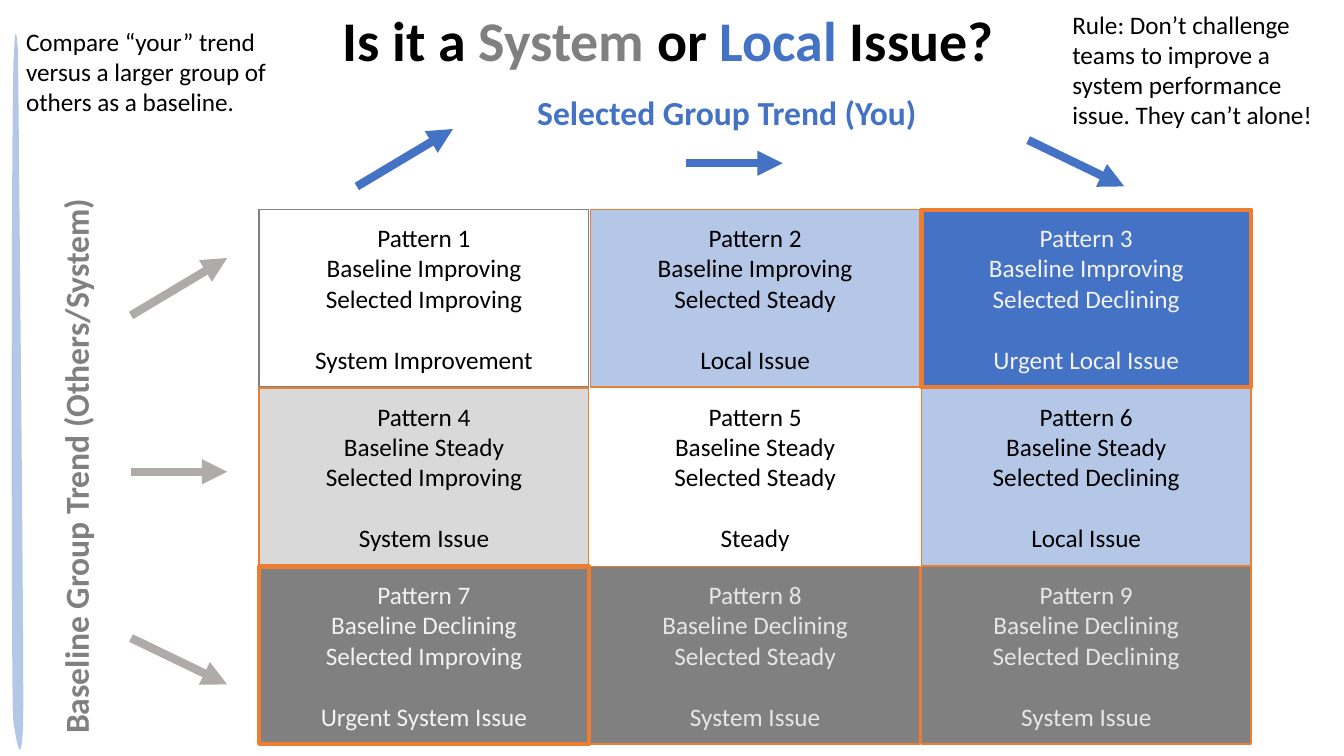
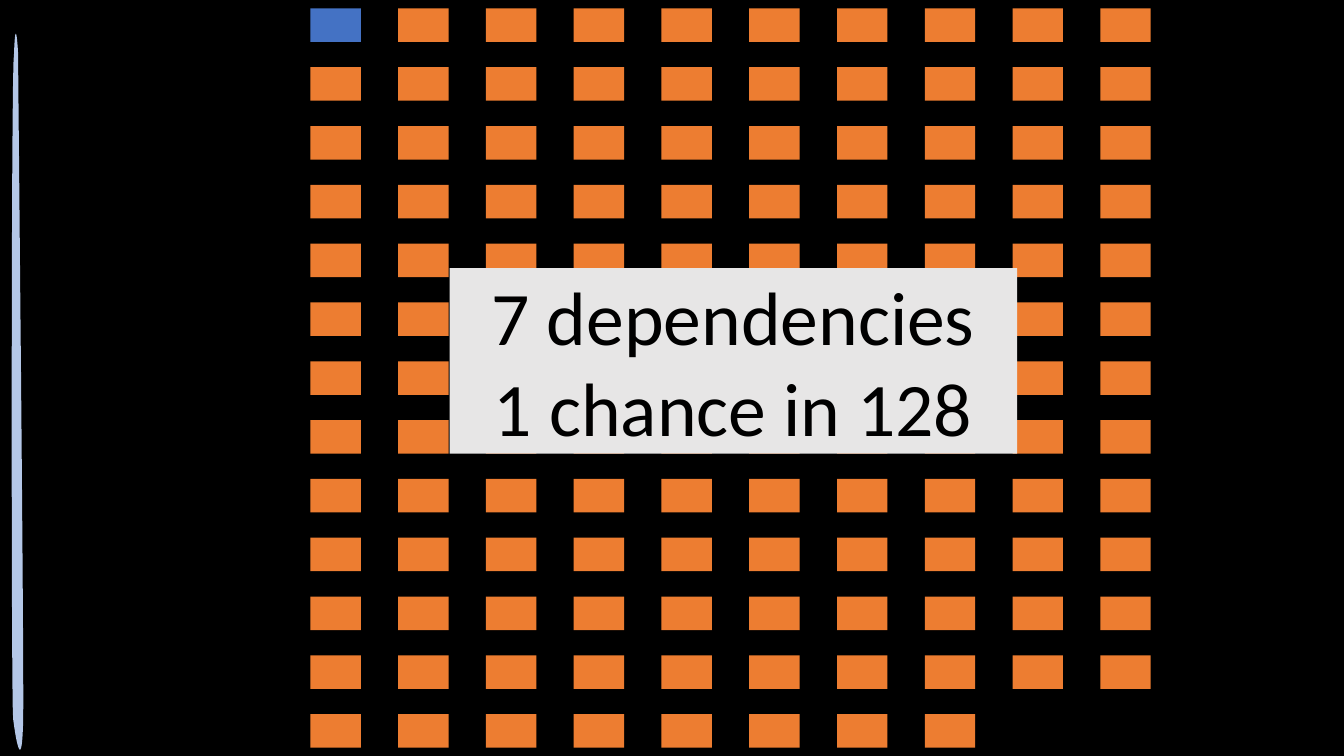
from lxml import etree
from pptx import Presentation
from pptx.dml.color import RGBColor
from pptx.enum.shapes import MSO_CONNECTOR, MSO_SHAPE
from pptx.enum.text import MSO_ANCHOR, MSO_AUTO_SIZE, PP_ALIGN
from pptx.oxml.ns import qn
from pptx.util import Inches, Pt

RECT = MSO_SHAPE.RECTANGLE
LINE = MSO_CONNECTOR.STRAIGHT
LEFT, MID = PP_ALIGN.LEFT, PP_ALIGN.CENTER
TOP, CENTRE = MSO_ANCHOR.TOP, MSO_ANCHOR.MIDDLE
FIXED = MSO_AUTO_SIZE.NONE

BLACK = RGBColor(0x00, 0x00, 0x00)
GREY = RGBColor(0x80, 0x80, 0x80)
STONE = RGBColor(0xAF, 0xAB, 0xAB)
SILVER = RGBColor(0xD9, 0xD9, 0xD9)
MIST = RGBColor(0xE7, 0xE6, 0xE6)
PALE = RGBColor(0xF2, 0xF2, 0xF2)
WHITE = RGBColor(0xFF, 0xFF, 0xFF)
BLUE = RGBColor(0x44, 0x72, 0xC4)
SKY = RGBColor(0xB4, 0xC7, 0xE7)
ORANGE = RGBColor(0xED, 0x7D, 0x31)
FONT = "Calibri"

deck = Presentation()
deck.slide_width, deck.slide_height = Inches(13.33), Inches(7.5)

# Every slide is a grid of 100 columns by 100 rows
COL, ROW = deck.slide_width / 100, deck.slide_height / 100


def grid(*spots):
    """Turn alternating columns and rows into lengths."""
    return [int(spot * (ROW if i % 2 else COL)) for i, spot in enumerate(spots)]


def write(shape, text, size, ink, bold=False, align=LEFT, anchor=TOP):
    frame = shape.text_frame
    frame.text = text
    frame.word_wrap = True
    frame.vertical_anchor = anchor
    for para in frame.paragraphs:
        para.alignment = align
        for run in para.runs:
            run.font.name, run.font.size = FONT, Pt(size)
            run.font.bold = bold
            run.font.color.rgb = ink


trend = deck.slides.add_slide(deck.slide_layouts[5])
odds = deck.slides.add_slide(deck.slide_layouts[6])

# Shared blade at the left edge, kept on the master
start = (1.05, 7.07)
curves = [
    ((0.83, 7.07), (0.83, 91.87), (0.98, 95.07)),
    ((1.2, 98.13), (1.65, 102.53), (1.73, 95.07)),
    ((1.8, 87.6), (1.35, 9.6), (1.35, 7.07)),
    ((1.28, 4.67), (1.13, 2.67), start),
]
STEPS = 16
points, last = [], start
for one, two, end in curves:
    for step in range(1, STEPS + 1):
        t = step / STEPS
        u = 1 - t
        points.append(grid(*(
            u**3 * a + 3 * u * u * t * b + 3 * u * t * t * c + t**3 * d
            for a, b, c, d in zip(last, one, two, end))))
    last = end
pen = trend.shapes.build_freeform(*grid(*start))
pen.add_line_segments(points, close=True)
blade = pen.convert_to_shape()
blade.shadow.inherit = False
blade.fill.solid()
blade.fill.fore_color.rgb = SKY
blade.line.fill.background()
blade.element.nvSpPr.cNvPr.set("id", "99")
deck.slide_master.shapes.element.append(blade.element)

# Slide 1: title with coloured words
title = trend.shapes.title
title.left, title.top, title.width, title.height = grid(24.75, 0, 50.48, 10.27)
write(title, "", 40, BLACK)
title.text_frame.word_wrap = False
title.text_frame.auto_size = FIXED
para = title.text_frame.paragraphs[0]
for word, ink in [("Is it a ", BLACK), ("System", GREY), (" or ", BLACK),
                  ("Local", BLUE), (" Issue?", BLACK)]:
    run = para.add_run()
    run.text = word
    run.font.name, run.font.size, run.font.bold = FONT, Pt(40), True
    run.font.color.rgb = ink

# Pattern matrix: row, column, verdict, fill, edge, edge width, ink
states = ["Improving", "Steady", "Declining"]
cells = [
    (1, 1, "Steady", WHITE, None, 0, BLACK),
    (0, 0, "System Improvement", None, GREY, 1, BLACK),
    (0, 2, "Urgent Local Issue", BLUE, ORANGE, 3, PALE),
    (0, 1, "Local Issue", SKY, ORANGE, 1, BLACK),
    (1, 0, "System Issue", SILVER, ORANGE, 1, BLACK),
    (1, 2, "Local Issue", SKY, ORANGE, 1, BLACK),
    (2, 0, "Urgent System Issue", GREY, ORANGE, 3, PALE),
    (2, 2, "System Issue", GREY, ORANGE, 1, MIST),
    (2, 1, "System Issue", GREY, ORANGE, 1, MIST),
]
for row, col, verdict, fill, edge, thick, ink in cells:
    cell = trend.shapes.add_shape(
        RECT, *grid(19.28 + 24.64 * col, 27.73 + 23.6 * row, 24.53, 23.47))
    cell.shadow.inherit = False
    if fill is None:
        cell.fill.background()
    else:
        cell.fill.solid()
        cell.fill.fore_color.rgb = fill
    if edge is None:
        cell.line.fill.background()
    else:
        cell.line.color.rgb = edge
        cell.line.width = Pt(thick)
    text = (f"Pattern {3 * row + col + 1}\nBaseline {states[row]}\n"
            f"Selected {states[col]}\n{verdict}")
    write(cell, text, 18, ink, align=MID, anchor=CENTRE)
    cell.text_frame.paragraphs[-1].space_before = Pt(22)

# Trend arrows: start column and row, drop, colour
arrows = [
    (9.75, 41.73, -7.6, STONE), (9.75, 62.4, 0, STONE), (9.75, 84.4, 6.13, STONE),
    (26.55, 24.67, -7.6, BLUE), (51.08, 21.6, 0, BLUE), (76.5, 18.53, 6.13, BLUE),
]
for left, top, drop, ink in arrows:
    arrow = trend.shapes.add_connector(
        LINE, *grid(left, top, left + 7.15, top + drop))
    arrow.line.color.rgb = ink
    arrow.line.width = Pt(6)
    etree.SubElement(arrow.line._get_or_add_ln(), qn("a:tailEnd"), type="triangle")
    etree.SubElement(arrow.element.spPr, qn("a:effectLst"))

# Axis names and advice
notes = [
    ("Selected Group Trend (You)", (39.23, 11.47, 30.9, 6.67), 0, 24, BLUE),
    ("Baseline Group Trend (Others/System)", (-15.98, 56.67, 43.2, 6.67), 270, 24, GREY),
    ("Compare “your” trend versus a larger group of others as a baseline.",
     (1.2, 2.8, 19.8, 13.47), 0, 18, BLACK),
    ("Rule: Don’t challenge teams to improve a system performance issue. "
     "They can’t alone!", (79.05, 0.53, 19.8, 17.47), 0, 18, BLACK),
]
for text, area, turn, size, ink in notes:
    note = trend.shapes.add_textbox(*grid(*area))
    note.rotation = turn
    write(note, text, size, ink, bold=size == 24)

# Slide 2: 128 outcomes, the first one a success, with a banner on top
odds.background.fill.solid()
odds.background.fill.fore_color.rgb = BLACK
COUNT, ACROSS = 128, 10
blocks = []
for i in range(COUNT):
    row, col = divmod(i, ACROSS)
    if row in (5, 6) and 2 <= col <= 7:  # behind the banner
        continue
    area = (23.1 + 6.53 * col, 1.11 + 7.78 * row, 3.75, 4.44)
    blocks.append((area, ORANGE if i else BLUE))
blocks.append(((33.45, 35.47, 42.23, 24.53), MIST))
for area, fill in blocks:
    block = odds.shapes.add_shape(RECT, *grid(*area))
    block.shadow.inherit = False
    block.fill.solid()
    block.fill.fore_color.rgb = fill
    block.line.fill.background()
write(block, "7 dependencies\n1 chance in 128", 54, BLACK, align=MID, anchor=CENTRE)

deck.save("out.pptx")
